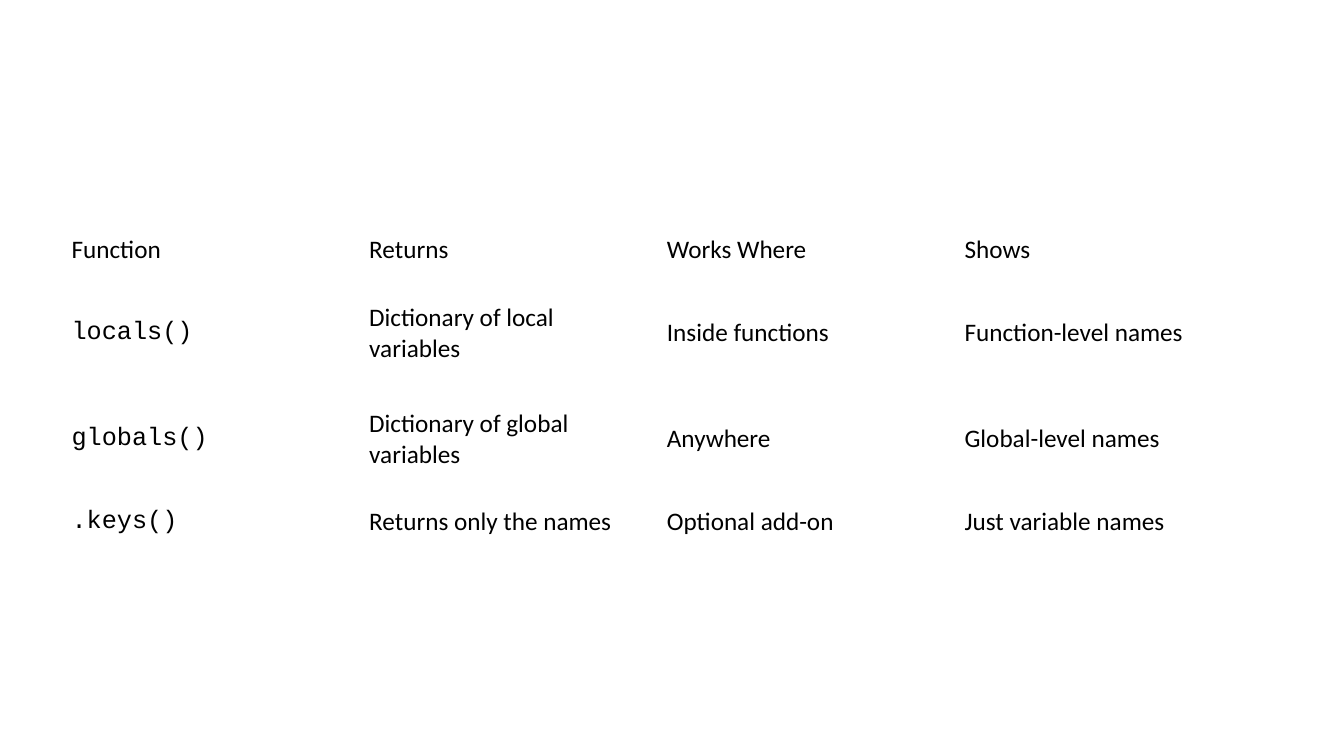
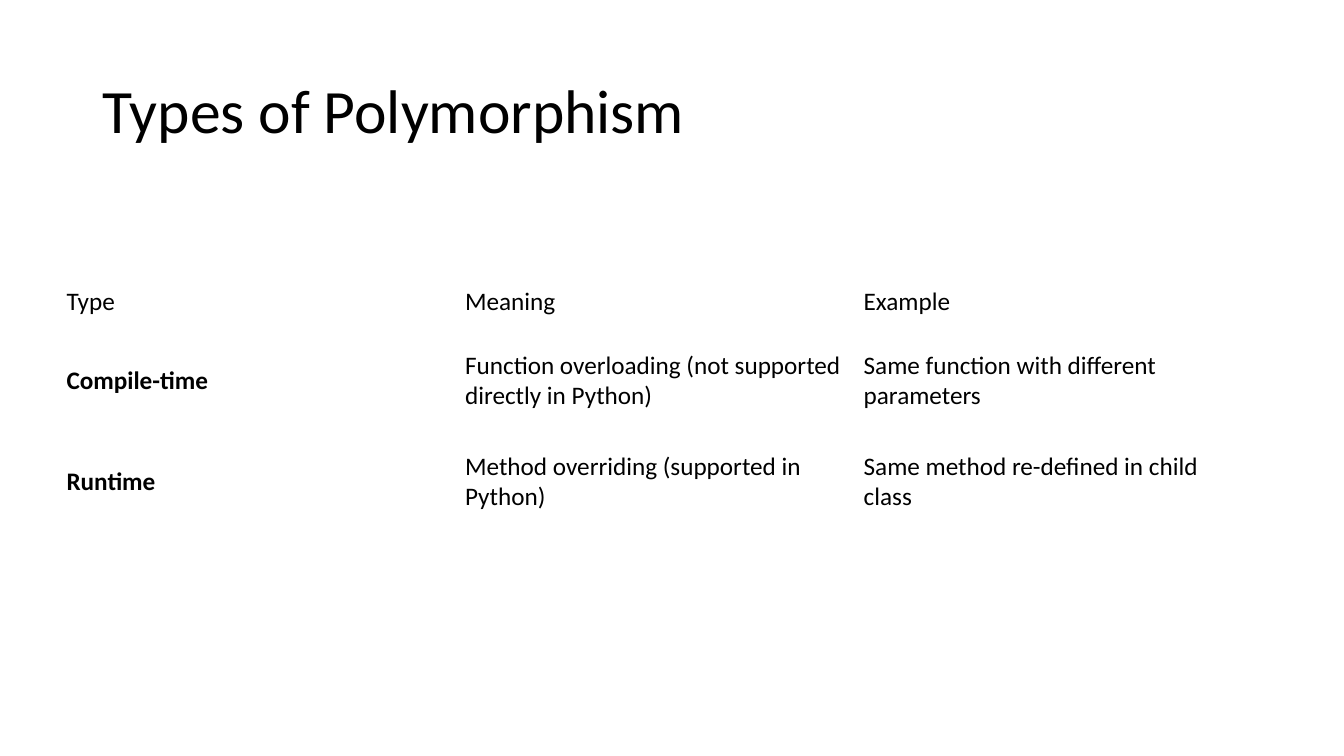
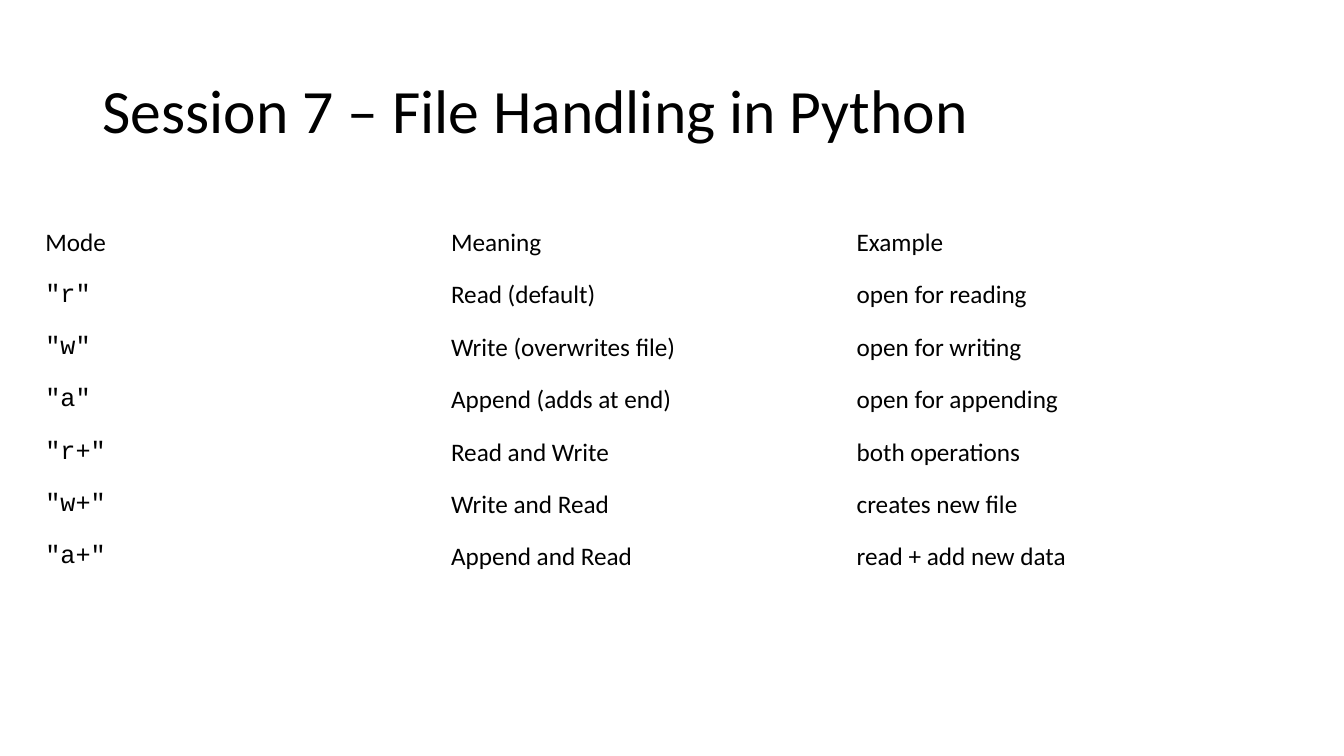
"""Build three slides of Python reference tables."""
from dataclasses import dataclass

from pptx import Presentation
from pptx.dml.color import RGBColor
from pptx.enum.text import MSO_ANCHOR
from pptx.util import Inches, Pt


@dataclass(frozen=True)
class Theme:
    ink: RGBColor = RGBColor(0x00, 0x00, 0x00)
    paper: RGBColor = RGBColor(0xFF, 0xFF, 0xFF)
    body_font: str = "Calibri"
    code_font: str = "Courier New"
    title_size: int = 44
    body_size: int = 18


THEME = Theme()
TABLE_RIGHT = 12.42
CODE = {"font": THEME.code_font}
STRONG = {"bold": True}

SLIDES = [
    {
        "title": None,
        "left": 0.61,
        "top": 2.18,
        "row_heights": [0.6, 1.05, 1.05, 0.6],
        "key_format": CODE,
        "rows": [
            ("Function", "Returns", "Works Where", "Shows"),
            ("locals()", "Dictionary of local variables", "Inside functions", "Function-level names"),
            ("globals()", "Dictionary of global variables", "Anywhere", "Global-level names"),
            (".keys()", "Returns only the names", "Optional add-on", "Just variable names"),
        ],
    },
    {
        "title": "Types of Polymorphism",
        "left": 0.56,
        "top": 2.71,
        "row_heights": [0.57, 1, 1],
        "key_format": STRONG,
        "rows": [
            ("Type", "Meaning", "Example"),
            (
                "Compile-time",
                "Function overloading (not supported directly in Python)",
                "Same function with different parameters",
            ),
            ("Runtime", "Method overriding (supported in Python)", "Same method re-defined in child class"),
        ],
    },
    {
        "title": "Session 7 – File Handling in Python",
        "left": 0.35,
        "top": 2.15,
        "row_heights": [0.52] * 7,
        "key_format": CODE,
        "rows": [
            ("Mode", "Meaning", "Example"),
            ('"r"', "Read (default)", "open for reading"),
            ('"w"', "Write (overwrites file)", "open for writing"),
            ('"a"', "Append (adds at end)", "open for appending"),
            ('"r+"', "Read and Write", "both operations"),
            ('"w+"', "Write and Read", "creates new file"),
            ('"a+"', "Append and Read", "read + add new data"),
        ],
    },
]


def write_text(frame, text, *, size=THEME.body_size, font=THEME.body_font, bold=False, line_spacing=None):
    para = frame.paragraphs[0]
    para.line_spacing = line_spacing
    span = para.add_run()
    span.text = text
    span.font.size = Pt(size)
    span.font.name = font
    span.font.bold = bold
    span.font.color.rgb = THEME.ink


def add_title(page, text):
    box = page.shapes.add_textbox(Inches(0.92), Inches(0.4), Inches(11.5), Inches(1.45))
    box.text_frame.word_wrap = True
    box.text_frame.vertical_anchor = MSO_ANCHOR.MIDDLE
    write_text(box.text_frame, text, size=THEME.title_size, line_spacing=0.9)


def add_reference_table(page, rows, left, top, row_heights, key_format):
    column_count = len(rows[0])
    width = TABLE_RIGHT - left
    table = page.shapes.add_table(
        len(rows), column_count, Inches(left), Inches(top), Inches(width), Inches(sum(row_heights))
    ).table
    table.first_row = False
    table.horz_banding = False
    for column in table.columns:
        column.width = Inches(width / column_count)
    for row_index, (texts, height) in enumerate(zip(rows, row_heights)):
        table.rows[row_index].height = Inches(height)
        for column_index, text in enumerate(texts):
            cell = table.cell(row_index, column_index)
            cell.fill.solid()
            cell.fill.fore_color.rgb = THEME.paper
            cell.vertical_anchor = MSO_ANCHOR.MIDDLE
            is_key = row_index > 0 and column_index == 0
            write_text(cell.text_frame, text, **(key_format if is_key else {}))


def main():
    deck = Presentation()
    deck.slide_width = Inches(13.33)
    deck.slide_height = Inches(7.5)
    for content in SLIDES:
        page = deck.slides.add_slide(deck.slide_layouts[6])
        if content["title"]:
            add_title(page, content["title"])
        add_reference_table(
            page,
            content["rows"],
            content["left"],
            content["top"],
            content["row_heights"],
            content["key_format"],
        )
    deck.save("out.pptx")


if __name__ == "__main__":
    main()
